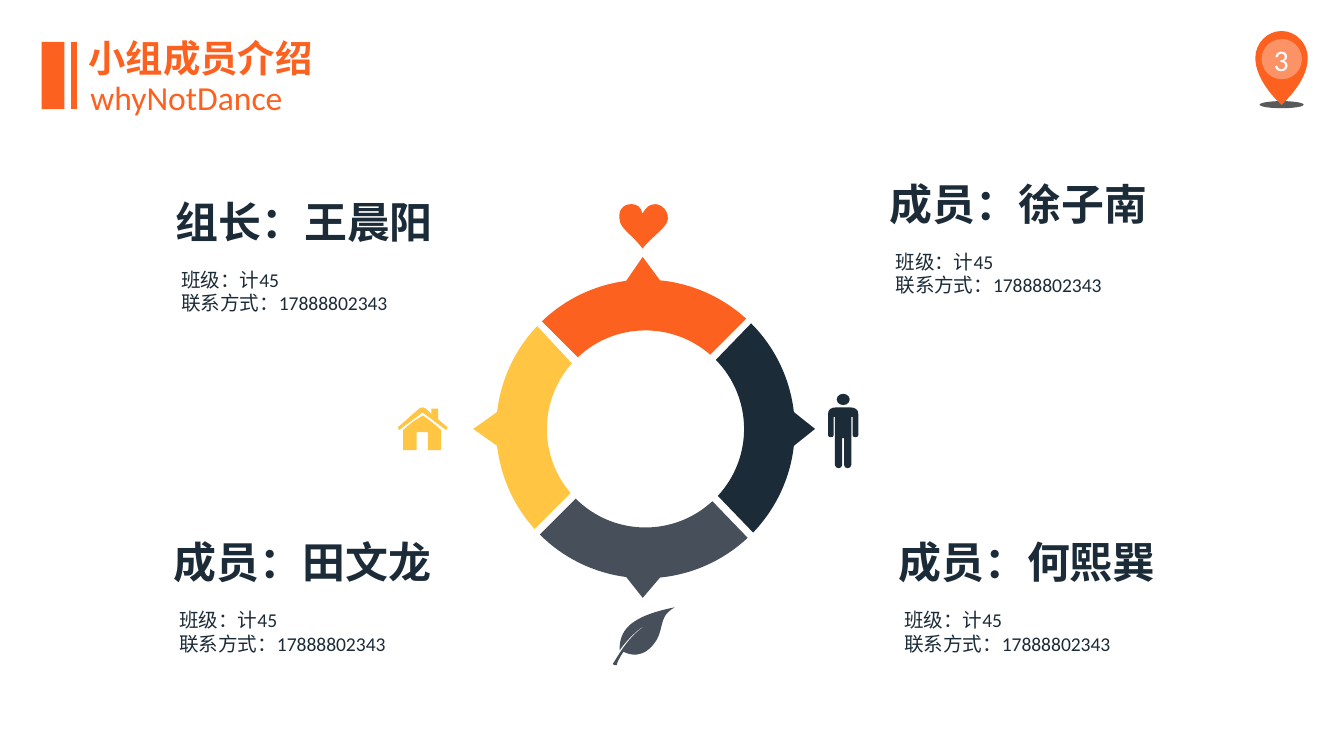
from dataclasses import dataclass
from math import cos, radians, sin, tan

from lxml.etree import SubElement
from pptx import Presentation
from pptx.dml.color import RGBColor
from pptx.enum.shapes import MSO_CONNECTOR, MSO_SHAPE
from pptx.enum.text import MSO_ANCHOR, MSO_AUTO_SIZE, PP_ALIGN
from pptx.oxml.ns import qn
from pptx.util import Pt

Point = tuple[float, float]
Outline = list[tuple]  # a pair is a corner, six numbers are a Bezier curve
ORANGE, NAVY, SLATE, YELLOW = "FC611F", "1C2B38", "464F5A", "FFC543"
WHITE, GREY = "FFFFFF", "595959"


@dataclass
class Member:
    name: str
    left: float
    top: float


@dataclass
class RingPart:
    """Angles in degrees, clockwise from the top."""
    color: str
    outer: Point
    inner: Point
    tip: float
    reach: float


MEMBERS = [
    Member("组长：王晨阳", 86, 101.1),
    Member("成员：徐子南", 468.6, 91.5),
    Member("成员：田文龙", 85, 283.5),
    Member("成员：何熙巽", 473.3, 283.5),
]
DETAILS = ["班级：计45", "联系方式：17888802343"]

RING_CENTER = (345.8, 229.8)
OUTER_RADIUS, INNER_RADIUS, TIP_HALF_ANGLE = 80, 52.8, 6.5
RING = [
    RingPart(YELLOW, (227.9, 313.5), (229.4, 311.7), 270, 92.3),
    RingPart(SLATE, (136.8, 225), (137.2, 225), 180.9, 90.5),
    RingPart(ORANGE, (-43.9, 42.4), (-43.3, 41.1), -0.9, 92.2),
    RingPart(NAVY, (45, 133.9), (45.5, 132.8), 90, 90.8),
]

PIN = [(700.6, 31), (700.6, 23.1, 694.1, 16.6, 686.6, 16.6),
       (678.9, 16.6, 672.5, 23.1, 672.5, 31),
       (672.5, 43.9, 686.6, 56.2, 686.6, 56.2),
       (695.5, 47.5, 700.6, 39, 700.6, 31)]
HOUSE = [(226.6, 222.6), (221, 226.1), (216, 230.4), (216, 241.2),
         (223.2, 241.2), (223.2, 231.6), (229.2, 231.6), (229.2, 241.2),
         (236.4, 241.2), (236.4, 230.4), (231.3, 226.1)]
ROOF = [(234.7, 224.6), (234.7, 218.9), (231.1, 218.9), (231.1, 221.8),
        (228.2, 218.9), (226.4, 218.2), (224.6, 218.9), (213.1, 229),
        (213.9, 230.4), (226.4, 221), (239, 230.4), (239.8, 229)]
LEAF = [(328.3, 355.7), (328.3, 355.7, 328.3, 356.4, 330.5, 356.4),
        (330.5, 354.2, 334.1, 349.2, 334.1, 349.2),
        (334.1, 349.2, 342, 354.2, 349.2, 346.3),
        (357.1, 337.7, 351.4, 331.2, 361.4, 325.4),
        (336.2, 330.5, 331.9, 338.4, 331.9, 348.5),
        (334.8, 344.2, 341.3, 337, 346.3, 334.8),
        (336.2, 341.3, 331.2, 351.4, 328.3, 355.7)]
HEART = [(344.2, 114.5), (343.4, 110.9, 341.3, 109.4, 338.4, 109.4),
         (333.4, 109.4, 331.2, 113, 331.9, 117.4),
         (331.9, 122.4, 339.1, 126, 344.2, 133.2),
         (349.9, 126, 357.1, 122.4, 357.8, 117.4),
         (357.8, 113, 355.7, 110.2, 351.4, 109.4),
         (347.8, 109.4, 346.3, 110.9, 344.2, 114.5)]
PERSON_AXIS = 451.7
PERSON_HALF = [(451.7, 218.2), (448.6, 218.2),
               (445, 218.2, 443.6, 219.5, 443.6, 221.8), (443.6, 233.2),
               (443.6, 234.6, 446.6, 234.6, 446.6, 233.2), (446.6, 223.4),
               (447.3, 223.4), (447.3, 249.1),
               (447.3, 251.4, 451.2, 251.4, 451.2, 249.1),
               (451.2, 234.7), (451.7, 234.7)]

NAME_STYLE = dict(size=Pt(23), bold=True, name="Calibri")
DETAIL_STYLE = dict(size=Pt(10.5), name="Calibri")
TITLE_STYLE = dict(size=Pt(20), bold=True, name="Noto Sans Mono")
TEAM_STYLE = dict(size=Pt(18), name="Calibri")
NUMBER_STYLE = dict(size=Pt(16), name="Calibri")


def rgb(color: str) -> RGBColor:
    return RGBColor.from_string(color)


def paint(shape, color: str) -> None:
    shape.shadow.inherit = False
    shape.fill.solid()
    shape.fill.fore_color.rgb = rgb(color)
    shape.line.fill.background()


def add_preset(slide, kind, left: float, top: float, width: float, height: float, color: str):
    shape = slide.shapes.add_shape(kind, Pt(left), Pt(top), Pt(width), Pt(height))
    paint(shape, color)
    return shape


def add_outline(slide, outline: Outline, color: str) -> None:
    start, *rest = [(Pt(item[-2]), Pt(item[-1])) for item in outline]
    builder = slide.shapes.build_freeform(*start)
    builder.add_line_segments(rest, close=True)
    shape = builder.convert_to_shape()
    paint(shape, color)
    # Turn the straight segments that stand for curves into Beziers
    segments = list(shape.element.spPr.iter(qn("a:lnTo")))
    for segment, item in zip(segments, outline[1:]):
        if len(item) == 6:
            segment.clear()
            segment.tag = qn("a:cubicBezTo")
            for x, y in zip(item[::2], item[1::2]):
                SubElement(segment, qn("a:pt"), x=str(Pt(x) - shape.left), y=str(Pt(y) - shape.top))


def mirror(outline: Outline, axis: float) -> Outline:
    mirrored = []
    for before, item in reversed(list(zip(outline, outline[1:]))):
        points = [item[i:i + 2] for i in range(len(item) - 4, -1, -2)] + [before[-2:]]
        mirrored.append(tuple(v for x, y in points for v in (2 * axis - x, y)))
    return mirrored


def polar(radius: float, angle: float) -> Point:
    x, y = RING_CENTER
    return x + radius * sin(radians(angle)), y - radius * cos(radians(angle))


def arc(radius: float, start: float, end: float) -> Outline:
    handle = 4 / 3 * tan(radians(end - start) / 4) * radius
    (x0, y0), (x3, y3) = polar(radius, start), polar(radius, end)
    a, b = radians(start), radians(end)
    return [(x0, y0), (x0 + handle * cos(a), y0 + handle * sin(a),
                       x3 - handle * cos(b), y3 - handle * sin(b), x3, y3)]


def add_ring_part(slide, part: RingPart) -> None:
    start, end = part.outer
    outline = arc(OUTER_RADIUS, start, part.tip - TIP_HALF_ANGLE)
    outline.append(polar(part.reach, part.tip))
    outline += arc(OUTER_RADIUS, part.tip + TIP_HALF_ANGLE, end)
    outline += arc(INNER_RADIUS, *reversed(part.inner))
    add_outline(slide, outline, part.color)


def write(box, lines: list[str], style: dict, color: str, align=PP_ALIGN.CENTER,
          wrap: bool = False, anchor=MSO_ANCHOR.TOP) -> None:
    layout = dict(text="\n".join(lines), word_wrap=wrap, vertical_anchor=anchor,
                  auto_size=MSO_AUTO_SIZE.SHAPE_TO_FIT_TEXT)
    for key, value in layout.items():
        setattr(box.text_frame, key, value)
    for paragraph in box.text_frame.paragraphs:
        paragraph.alignment = align
        for run in paragraph.runs:
            for key, value in style.items():
                setattr(run.font, key, value)
            run.font.color.rgb = rgb(color)


def add_text(slide, left: float, top: float, width: float, height: float, *args, **kwargs) -> None:
    write(slide.shapes.add_textbox(Pt(left), Pt(top), Pt(width), Pt(height)), *args, **kwargs)


def main() -> None:
    deck = Presentation()
    deck.slide_width, deck.slide_height = Pt(720), Pt(405)
    slide = deck.slides.add_slide(deck.slide_layouts[5])

    # Page number pin
    add_preset(slide, MSO_SHAPE.OVAL, 674.8, 54.2, 23.6, 3.8, GREY)
    add_outline(slide, PIN, ORANGE)
    halo = add_preset(slide, MSO_SHAPE.OVAL, 675.9, 20.9, 21.6, 21.6, WHITE)
    SubElement(halo.element.spPr.find(".//" + qn("a:srgbClr")), qn("a:alpha"), val="32000")
    add_text(slide, 656.4, 20.9, 60, 21.6, ["3"], NUMBER_STYLE, WHITE, anchor=MSO_ANCHOR.MIDDLE)

    # Heading with its bars
    add_preset(slide, MSO_SHAPE.RECTANGLE, 22.3, 22.5, 12.2, 36, ORANGE)
    bar = slide.shapes.add_connector(MSO_CONNECTOR.STRAIGHT, Pt(39.6), Pt(22.5), Pt(39.6), Pt(58.5))
    bar.line.color.rgb = rgb(ORANGE)
    bar.line.width = Pt(3)
    SubElement(bar.element.spPr, qn("a:effectLst"))
    title = slide.shapes.title
    for key, value in dict(left=39.8, top=15.1, width=135.4, height=31.7).items():
        setattr(title, key, Pt(value))
    write(title, ["小组成员介绍"], TITLE_STYLE, ORANGE)
    add_text(slide, 41.3, 37.8, 118.8, 28.8, ["whyNotDance"], TEAM_STYLE, ORANGE, PP_ALIGN.LEFT)

    # Members
    for member in MEMBERS:
        add_text(slide, member.left + 4.1, member.top + 38.8, 225, 32.4,
                 DETAILS, DETAIL_STYLE, NAVY, PP_ALIGN.JUSTIFY, wrap=True)
        add_text(slide, member.left, member.top, 154, 35.3, [member.name], NAME_STYLE, NAVY)

    # Ring
    for part in RING:
        add_ring_part(slide, part)

    # Icons around the ring
    person = PERSON_HALF + mirror(PERSON_HALF, PERSON_AXIS)
    for outline, color in [(HOUSE, YELLOW), (ROOF, YELLOW), (person, NAVY),
                           (LEAF, SLATE), (HEART, ORANGE)]:
        add_outline(slide, outline, color)
    add_preset(slide, MSO_SHAPE.OVAL, 448.2, 211, 7, 6, NAVY)

    deck.save("out.pptx")


if __name__ == "__main__":
    main()
